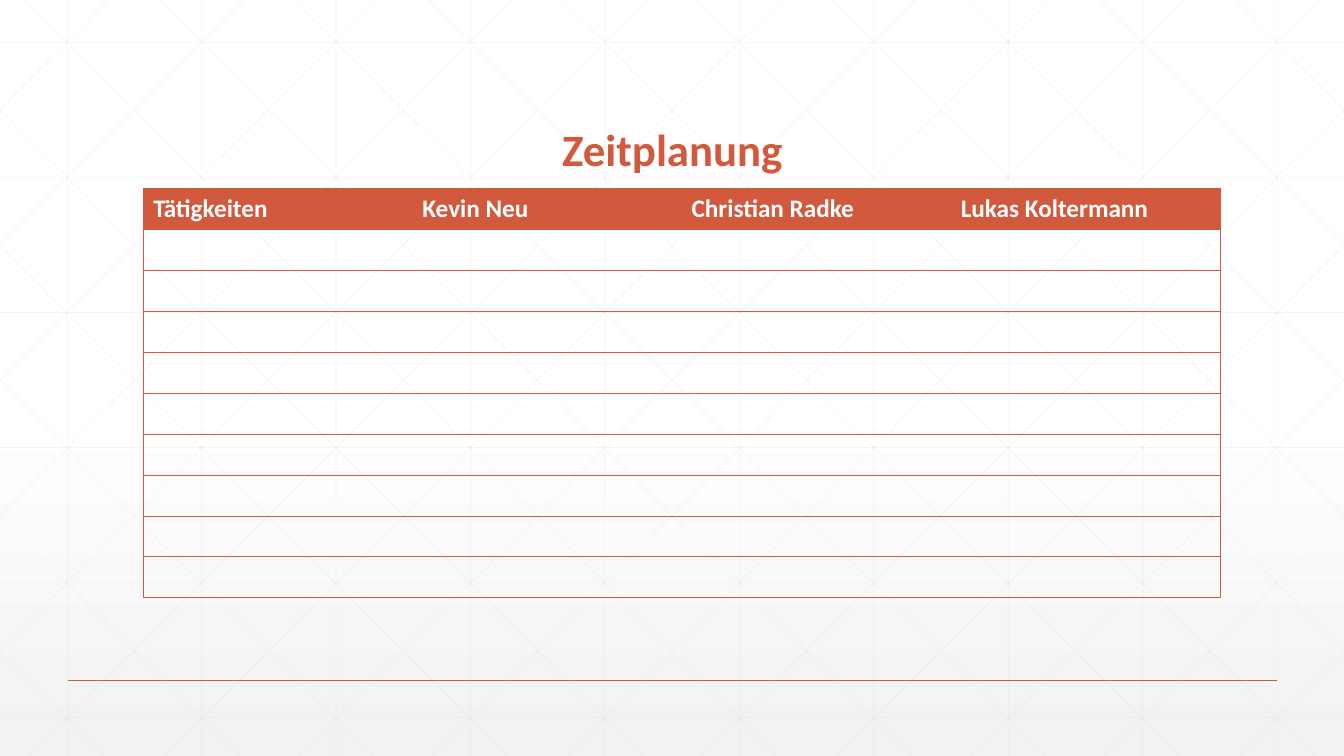
import copy

import pptx
import pptx.dml.color
import pptx.enum.shapes
import pptx.enum.text
import pptx.oxml
import pptx.oxml.ns
import pptx.util
from pptx.util import Inches

COLORS = {"accent": "D15A3E", "grid": "D9D9D9", "white": "FFFFFF", "shade": "F2F2F2"}
FONT = "Calibri"
WIDTH, HEIGHT = 13.33, 7.5
GRID_STEP = 4 / 3
HEADERS = ["Tätigkeiten", "Kevin Neu", "Christian Radke", "Lukas Koltermann"]
ROW_COUNT = 10


def rgb(name):
    return pptx.dml.color.RGBColor.from_string(COLORS[name])


def add_element(parent, tag, **attributes):
    element = parent.makeelement(pptx.oxml.ns.qn(tag), attributes)
    parent.append(element)
    return element


def set_background(slide):
    fill = slide.background.fill
    fill.gradient()
    fill.gradient_angle = 270
    stop_list = slide.element.find(".//" + pptx.oxml.ns.qn("a:gsLst"))
    stop_list.insert(1, copy.deepcopy(stop_list[0]))
    stops = [(0, "white"), (0.53, "white"), (1, "shade")]
    for stop, (position, color) in zip(fill.gradient_stops, stops):
        stop.position = position
        stop.color.rgb = rgb(color)


def add_line(slide, start, end, color="grid", weight=0.5, opacity=None):
    points = [Inches(value) for value in (*start, *end)]
    line = slide.shapes.add_connector(pptx.enum.shapes.MSO_CONNECTOR.STRAIGHT, *points)
    line.line.color.rgb = rgb(color)
    line.line.width = pptx.util.Pt(weight)
    properties = line._element.spPr
    if opacity is not None:
        fill_color = properties.find(".//" + pptx.oxml.ns.qn("a:srgbClr"))
        add_element(fill_color, "a:alpha", val=str(opacity * 1000))
    add_element(properties, "a:effectLst")


def add_grid(slide):
    """Draw faint verticals, horizontals and mirrored diagonals across the slide."""
    lines = []
    for column in range(10):
        x = GRID_STEP / 2 + column * GRID_STEP
        lines.append(((x, 0), (x, HEIGHT)))
    for row in range(6):
        y = 0.42 + row * 1.34
        lines.append(((0, y), (WIDTH, y)))
    run = 7.45
    slope = HEIGHT / run
    for index in range(-5, 10):
        x = 0.25 + index * GRID_STEP
        left, right = max(x, 0), min(x + run, WIDTH)
        top, bottom = (left - x) * slope, (right - x) * slope
        lines.append(((left, top), (right, bottom)))
        lines.append(((WIDTH - left, top), (WIDTH - right, bottom)))
    for start, end in lines:
        add_line(slide, start, end, opacity=25)


def write_text(frame, text, size, color, bold=True, align=None, line_spacing=None):
    paragraph = frame.paragraphs[0]
    paragraph.alignment = align
    paragraph.line_spacing = line_spacing
    run = paragraph.add_run()
    run.text = text
    run.font.name = FONT
    run.font.size = pptx.util.Pt(size)
    run.font.bold = bold
    run.font.color.rgb = rgb(color)


def add_title(slide, text):
    box = slide.shapes.add_textbox(Inches(1.42), Inches(0.55), Inches(10.5), Inches(1.25))
    frame = box.text_frame
    frame.word_wrap = True
    frame.vertical_anchor = pptx.enum.text.MSO_ANCHOR.BOTTOM
    write_text(frame, text, 32, "accent",
               align=pptx.enum.text.PP_ALIGN.CENTER, line_spacing=0.9)


def set_borders(cell, visible_sides):
    """Give the cell accent lines on the visible sides (of L, R, T, B), none elsewhere."""
    properties = cell._tc.get_or_add_tcPr()
    for side in "LRTB":
        border = add_element(properties, "a:ln" + side, w=str(pptx.util.Pt(0.5)))
        if side in visible_sides:
            fill = add_element(border, "a:solidFill")
            add_element(fill, "a:srgbClr", val=COLORS["accent"])
        else:
            add_element(border, "a:noFill")


def add_schedule(slide):
    frame = slide.shapes.add_table(ROW_COUNT, len(HEADERS), Inches(1.42), Inches(1.87),
                                   Inches(10.68), Inches(4.06))
    table = frame.table
    table.horz_banding = False
    last_column = len(HEADERS) - 1
    for row in range(ROW_COUNT):
        for column, header in enumerate(HEADERS):
            cell = table.cell(row, column)
            sides = "TB" + "L" * (column == 0) + "R" * (column == last_column)
            set_borders(cell, sides)
            if row == 0:
                cell.fill.solid()
                cell.fill.fore_color.rgb = rgb("accent")
                write_text(cell.text_frame, header, 18, "white")
            else:
                cell.fill.background()


def main():
    presentation = pptx.Presentation()
    presentation.slide_width = Inches(WIDTH)
    presentation.slide_height = Inches(HEIGHT)
    slide = presentation.slides.add_slide(presentation.slide_layouts[6])
    set_background(slide)
    add_grid(slide)
    add_line(slide, (0.67, 6.75), (12.67, 6.75), color="accent", weight=1)
    add_title(slide, "Zeitplanung")
    add_schedule(slide)
    presentation.save("out.pptx")


if __name__ == "__main__":
    main()
